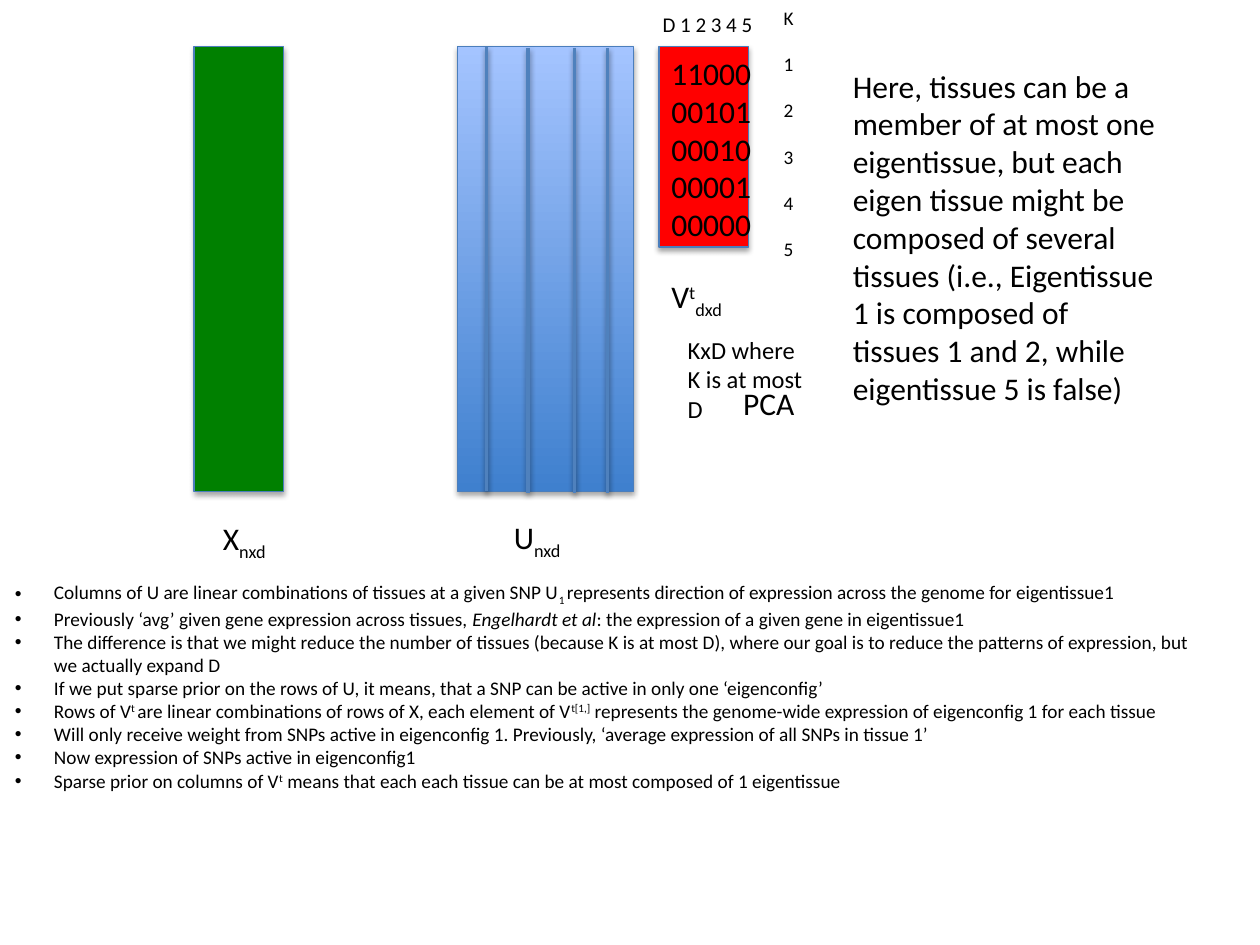
from lxml import etree
from pptx import Presentation, util as u
from pptx.dml.color import RGBColor
from pptx.enum import shapes, text
from pptx.oxml.ns import qn

COLORS = {"ink": "000000", "tissue": "008000", "membership": "FF0000", "edge": "4B7EBC",
          "divider": "4F81BD", "deep": "3F80CE", "pale": "A4C4FF"}
BASELINES = {"sub": "-25000", "super": "30000"}
TOP, TALL = 0.37, 3.53

deck = Presentation()
deck.slide_width, deck.slide_height = u.Inches(10), u.Inches(7.5)
slide = deck.slides.add_slide(deck.slide_layouts[6])


def outline(part, color, width, opacity, distance):
    part.line.color.rgb = RGBColor.from_string(COLORS[color])
    part.line.width = u.Pt(width)
    effects = etree.SubElement(part._element.spPr, qn("a:effectLst"))
    shadow = etree.SubElement(effects, qn("a:outerShdw"), blurRad=str(u.Pt(3.1)),
                              dist=str(u.Pt(distance)), dir="5400000", rotWithShape="0")
    tint = etree.SubElement(shadow, qn("a:srgbClr"), val=COLORS["ink"])
    etree.SubElement(tint, qn("a:alpha"), val=str(opacity * 1000))


def write(place, paragraphs, size):
    frame = slide.shapes.add_textbox(*map(u.Inches, place)).text_frame
    frame.word_wrap = True
    frame.auto_size = text.MSO_AUTO_SIZE.SHAPE_TO_FIT_TEXT
    for index, pieces in enumerate(paragraphs):
        paragraph = frame.add_paragraph() if index else frame.paragraphs[0]
        for wording, style in pieces:
            run = paragraph.add_run()
            run.text = wording
            run.font.name, run.font.size = "Calibri", u.Pt(size)
            run.font.color.rgb = RGBColor.from_string(COLORS["ink"])
            if style == "italic":
                run.font.italic = True
            elif style:
                run.font._element.set("baseline", BASELINES[style])
    return frame.paragraphs


for left, width, height, color in [(1.54, 0.71, TALL, "tissue"), (3.63, 1.4, TALL, None),
                                   (5.23, 0.71, 1.59, "membership")]:
    matrix = slide.shapes.add_shape(shapes.MSO_SHAPE.RECTANGLE,
                                    *map(u.Inches, (left, TOP, width, height)))
    if color:
        matrix.fill.solid()
        matrix.fill.fore_color.rgb = RGBColor.from_string(COLORS[color])
    else:
        matrix.fill.gradient()
        matrix.fill.gradient_angle = 90
        for stop, shade in zip(matrix.fill.gradient_stops, ("deep", "pale")):
            stop.color.rgb = RGBColor.from_string(COLORS[shade])
    outline(matrix, "edge", 0.75, 35, 1.8)

for left, top, pieces in [
    (3.98, 4.06, [("U", None), ("nxd", "sub")]),
    (5.23, 2.15, [("V", None), ("t", "super"), ("dxd", "sub")]),
    (1.67, 4.07, [("X", None), ("nxd", "sub")]),
]:
    write((left, top, 0.95, 0.4), [pieces], 18)

for x, y in [(3.86, TOP), (4.19, 0.38), (4.56, 0.38), (4.82, 0.38)]:
    divider = slide.shapes.add_connector(shapes.MSO_CONNECTOR.STRAIGHT,
                                         *map(u.Inches, (x, y, x, y + TALL)))
    outline(divider, "divider", 2, 38, 1.6)

notes = [
    [("Columns of U are linear combinations of tissues at a given SNP U", None), ("1 ", "sub"),
     ("represents direction of expression across the genome for eigentissue1", None)],
    [("Previously ‘avg’ given gene expression across tissues, ", None),
     ("Engelhardt et al", "italic"),
     (": the expression of a given gene in eigentissue1", None)],
    [("The difference is that we might reduce the number of tissues (because K is at most D), "
      "where our goal is to reduce the patterns of expression, but we actually expand D", None)],
    [("If we put sparse prior on the rows of U, it means, that a SNP can be active in only one "
      "‘eigenconfig’", None)],
    [("Rows of V", None), ("t ", "super"),
     ("are linear combinations of rows of X, each element of V", None), ("t[1,]", "super"),
     (" represents the genome-wide expression of eigenconfig 1 for each tissue", None)],
    [("Will only receive weight from SNPs active in eigenconfig 1. Previously, ‘average "
      "expression of all SNPs in tissue 1’", None)],
    [("Now expression of SNPs active in eigenconfig1", None)],
    [("Sparse prior on columns of V", None), ("t", "super"),
     (" means that each each tissue can be at most composed of 1 eigentissue", None)],
]
for note in write((0.02, 4.56, 9.59, 1.95), notes, 11):
    layout = note._p.get_or_add_pPr()
    layout.set("marL", str(u.Inches(0.31)))
    layout.set("indent", str(-u.Inches(0.31)))
    etree.SubElement(layout, qn("a:buFont"), typeface="Arial")
    etree.SubElement(layout, qn("a:buChar"), char="•")

for place, lines, size in [
    ((5.8, 3, 2.35, 0.4), ["PCA"], 18),
    ((5.23, 0.38, 1.36, 1.62), ["11000", "00101", "00010", "00001", "00000"], 18),
    ((5.36, 2.61, 1.16, 0.81), ["KxD where K is at most D"], 14),
    ((6.67, 0.48, 2.61, 2.83),
     ["Here, tissues can be a member of at most one eigentissue, but each eigen tissue might be "
      "composed of several tissues (i.e., Eigentissue 1 is composed of tissues 1 and 2, while "
      "eigentissue 5 is false) "], 18),
    ((5.16, 0.04, 1.15, 0.3), ["D 1 2 3 4 5"], 12),
]:
    write(place, [[(line, None)] for line in lines], size)

row_labels = write((6.12, 0, 0.75, 2.44), [[(label, None)] for label in "K12345"], 11)
for label in row_labels[1:]:
    label.space_before = u.Pt(13.2)

deck.save("out.pptx")
